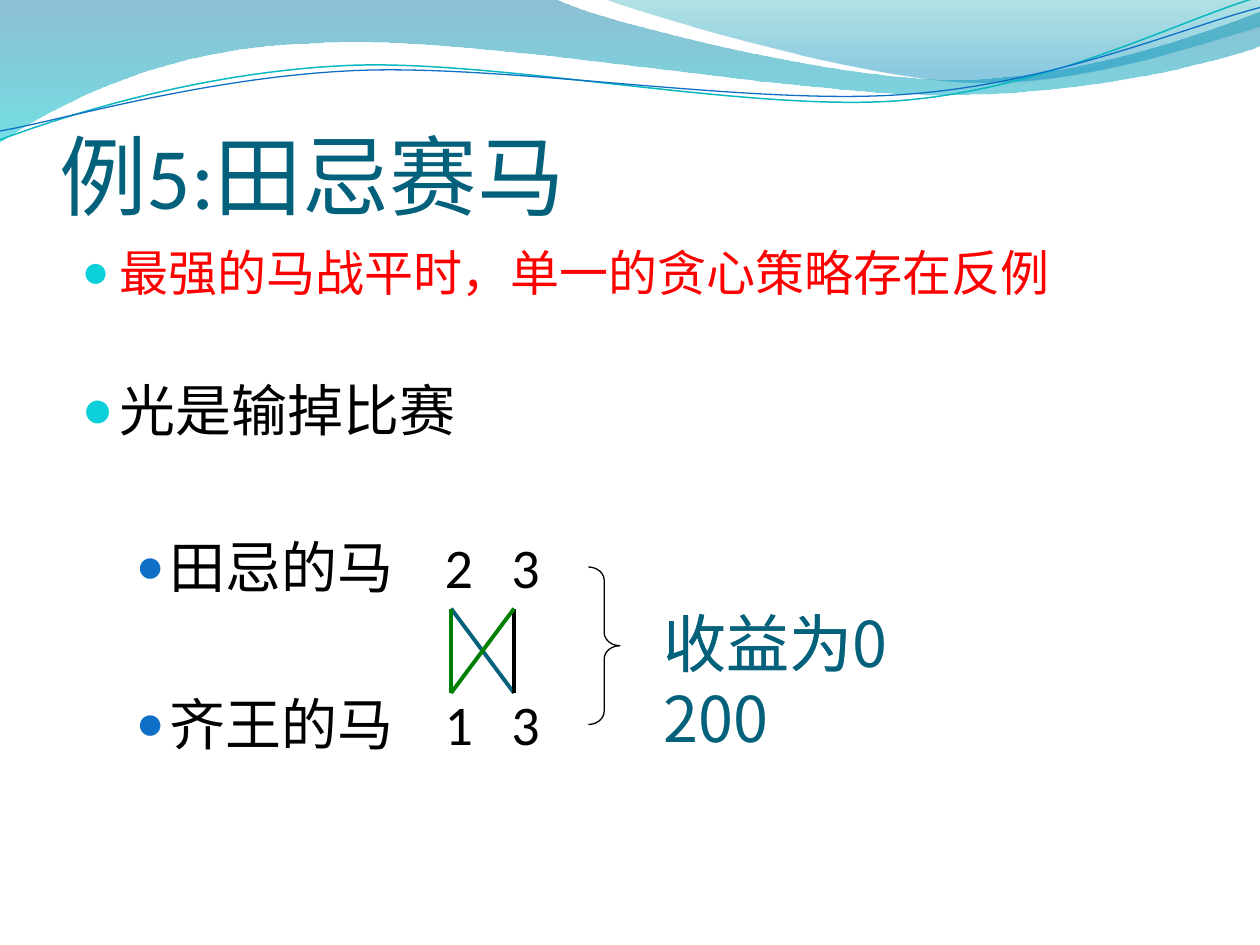
from dataclasses import dataclass

from lxml import etree
from pptx import Presentation
from pptx.dml.color import RGBColor
from pptx.enum import shapes, text
from pptx.oxml import ns
from pptx.util import Inches, Pt


@dataclass(frozen=True)
class Theme:
    latin: str = "Calibri"
    alert_font: str = "Arial"
    cjk: str = "Noto Sans CJK SC"
    title: str = "04617B"
    ink: str = "000000"
    alert: str = "FF0000"
    green: str = "008000"
    bullet: str = "0BD0D9"
    sub_bullet: str = "0F6FC6"
    teal_line: str = "0AB8BF"
    title_size: int = 50
    result_size: int = 36
    body_size: int = 32
    alert_size: int = 28


T = Theme()


def add_xml(parent, tag, **attrs):
    return etree.SubElement(parent, ns.qn(tag), {k: str(v) for k, v in attrs.items()})


def add_frame(s, box, anchor=text.MSO_ANCHOR.TOP):
    tf = s.shapes.add_textbox(*map(Inches, box)).text_frame
    tf.word_wrap = True
    tf.vertical_anchor = anchor
    return tf


def write(p, content, size, color, font=T.latin, line=None, before=0):
    """Put one run in a paragraph; line and before are in points."""
    p.space_before = Pt(before)
    if line:
        p.line_spacing = Pt(line)
    r = p.add_run()
    r.text = content
    r.font.size = Pt(size)
    r.font.name = font
    r.font.color.rgb = RGBColor.from_string(color)
    add_xml(r.font._element, "a:ea", typeface=T.cjk)


def set_bullet(p, left, hang, color, percent, tabs=()):
    pPr = p._p.get_or_add_pPr()
    pPr.set("marL", str(Inches(left)))
    pPr.set("indent", str(-Inches(hang)))
    add_xml(add_xml(pPr, "a:buClr"), "a:srgbClr", val=color)
    add_xml(pPr, "a:buSzPct", val=percent * 1000)
    add_xml(pPr, "a:buFont", typeface=T.alert_font)
    add_xml(pPr, "a:buChar", char="●")
    if tabs:
        stops = add_xml(pPr, "a:tabLst")
        for pos in tabs:
            add_xml(stops, "a:tab", pos=Inches(pos), algn="l")


def add_outline(s, box, start, segments, close=False):
    """Each segment is one point (a line) or three points (a cubic curve)."""
    points = [(Inches(box[0] + x), Inches(box[1] + y))
              for x, y in [start] + [pt for seg in segments for pt in seg]]
    fb = s.shapes.build_freeform(*points[0])
    fb.add_line_segments(points[1:], close=close)
    sp = fb.convert_to_shape()
    sp.shadow.inherit = False
    steps = iter(list(sp._element.iter(ns.qn("a:lnTo"))))
    for seg in segments:
        group = [next(steps) for _ in seg]
        if len(group) == 3:
            curve = etree.Element(ns.qn("a:cubicBezTo"))
            group[0].addprevious(curve)
            for step in group:
                curve.append(step[0])
                step.getparent().remove(step)
    return sp


def add_wave(s, box, start, segments, stops):
    """Closed shape with a vertical gradient of (position, colour, opacity)."""
    sp = add_outline(s, box, start, segments, close=True)
    sp.line.fill.background()
    sp.fill.background()
    old = sp._element.spPr.find(ns.qn("a:noFill"))
    grad = etree.Element(ns.qn("a:gradFill"), rotWithShape="1")
    lst = add_xml(grad, "a:gsLst")
    for pos, color, alpha in stops:
        gs = add_xml(lst, "a:gs", pos=pos * 1000)
        add_xml(add_xml(gs, "a:srgbClr", val=color), "a:alpha", val=alpha * 1000)
    add_xml(grad, "a:lin", ang=5400000, scaled=0)
    old.getparent().replace(old, grad)


def add_header(s, box):
    # Two translucent waves
    add_wave(s, box, (0, 0), [
        [(4.4, -.01)],
        [(4.76, .17), (6.64, .63), (7.58, .63)],
        [(8.53, .63), (9.58, .26), (10, .09)],
        [(10.01, .36)],
        [(9.83, .44), (8.7, .76), (7.46, .75)],
        [(6.22, .75), (3.82, .28), (2.57, .34)],
        [(1.29, .36), (.46, .83), (-.01, 1.13)],
    ], [(0, "0074A1", 45), (100, "00C6CF", 55)])
    add_wave(s, box, (4.79, -.01), [
        [(5.09, .11), (6.82, .62), (7.69, .65)],
        [(8.56, .69), (9.61, .32), (10, .21)],
        [(10, 0)],
    ], [(0, "00A1A9", 30), (80, "008BBF", 45)])

    # Two thin curves
    curves = [
        (T.teal_line, .85, (0, 1.11), [
            [(.48, .93), (1.58, .57), (2.77, .52)],
            [(3.95, .47), (5.93, .89), (7.13, .8)],
            [(8.33, .71), (9.38, .15), (9.98, -.02)]]),
        (T.sub_bullet, .75, (0, 1.04), [
            [(.47, .96), (1.64, .61), (2.83, .56)],
            [(4.03, .51), (5.97, .84), (7.17, .75)],
            [(8.36, .67), (9.41, .21), (10, .06)]])]
    for color, width, start, segments in curves:
        sp = add_outline(s, box, start, segments)
        sp.fill.background()
        sp.line.color.rgb = RGBColor.from_string(color)
        sp.line.width = Pt(width)


def add_title(s, box):
    tf = add_frame(s, box, text.MSO_ANCHOR.BOTTOM)
    tf.margin_left = tf.margin_right = tf.margin_bottom = 0
    write(tf.paragraphs[0], "例5:田忌赛马", T.title_size, T.title)


def add_body(s, box):
    tf = add_frame(s, box)
    p = tf.paragraphs[0]
    write(p, "最强的马战平时，单一的贪心策略存在反例", T.alert_size, T.alert,
          T.alert_font, line=34)
    set_bullet(p, .3, .3, T.bullet, 95)
    p = tf.add_paragraph()
    write(p, "光是输掉比赛", T.body_size, T.ink, line=39, before=42)
    set_bullet(p, .3, .3, T.bullet, 95)
    for row in ("田忌的马\t2\t3", "齐王的马\t1\t3"):
        p = tf.add_paragraph()
        p.level = 1
        write(p, row, T.body_size, T.ink, line=39, before=50.5)
        set_bullet(p, .7, .27, T.sub_bullet, 85, tabs=(2.88, 3.41))


def add_matches(s, box):
    """Lines from the upper horses to the lower ones."""
    x, y, w, h = box
    for start, end, color in ((0, 1, T.title), (0, 0, T.green),
                              (1, 1, T.ink), (1, 0, T.green)):
        ln = s.shapes.add_connector(
            shapes.MSO_CONNECTOR.STRAIGHT, Inches(x + start * w), Inches(y),
            Inches(x + end * w), Inches(y + h))
        ln.line.color.rgb = RGBColor.from_string(color)
        ln.line.width = Pt(2.25)
        add_xml(ln._element.spPr, "a:effectLst")


def add_result(s, box):
    # Payoffs share one place; the longer one wraps its number below
    x, y, w, h = box
    for payoff, width in (("收益为200", w - .5), ("收益为0", w - .59)):
        tf = add_frame(s, (x + .5, y + .25, width, .7))
        write(tf.paragraphs[0], payoff, T.result_size, T.title, T.cjk, line=43)

    # Brace
    sp = s.shapes.add_shape(shapes.MSO_SHAPE.RIGHT_BRACE,
                            *map(Inches, (x, y, .25, h)))
    sp.adjustments[0] = .42
    sp.shadow.inherit = False
    sp.fill.background()
    sp.line.color.rgb = RGBColor.from_string(T.ink)
    sp.line.width = Pt(.75)


def main():
    prs = Presentation()
    prs.slide_width, prs.slide_height = Inches(10), Inches(7.5)
    s = prs.slides.add_slide(prs.slide_layouts[6])
    add_header(s, (0, 0, 10, 1.14))
    add_body(s, (.55, 1.87, 9, 4.8))
    add_result(s, (4.67, 4.5, 2.92, 1.25))
    add_matches(s, (3.58, 4.83, .5, .67))
    add_title(s, (.47, .55, 9, 1.25))
    prs.save("out.pptx")


if __name__ == "__main__":
    main()
